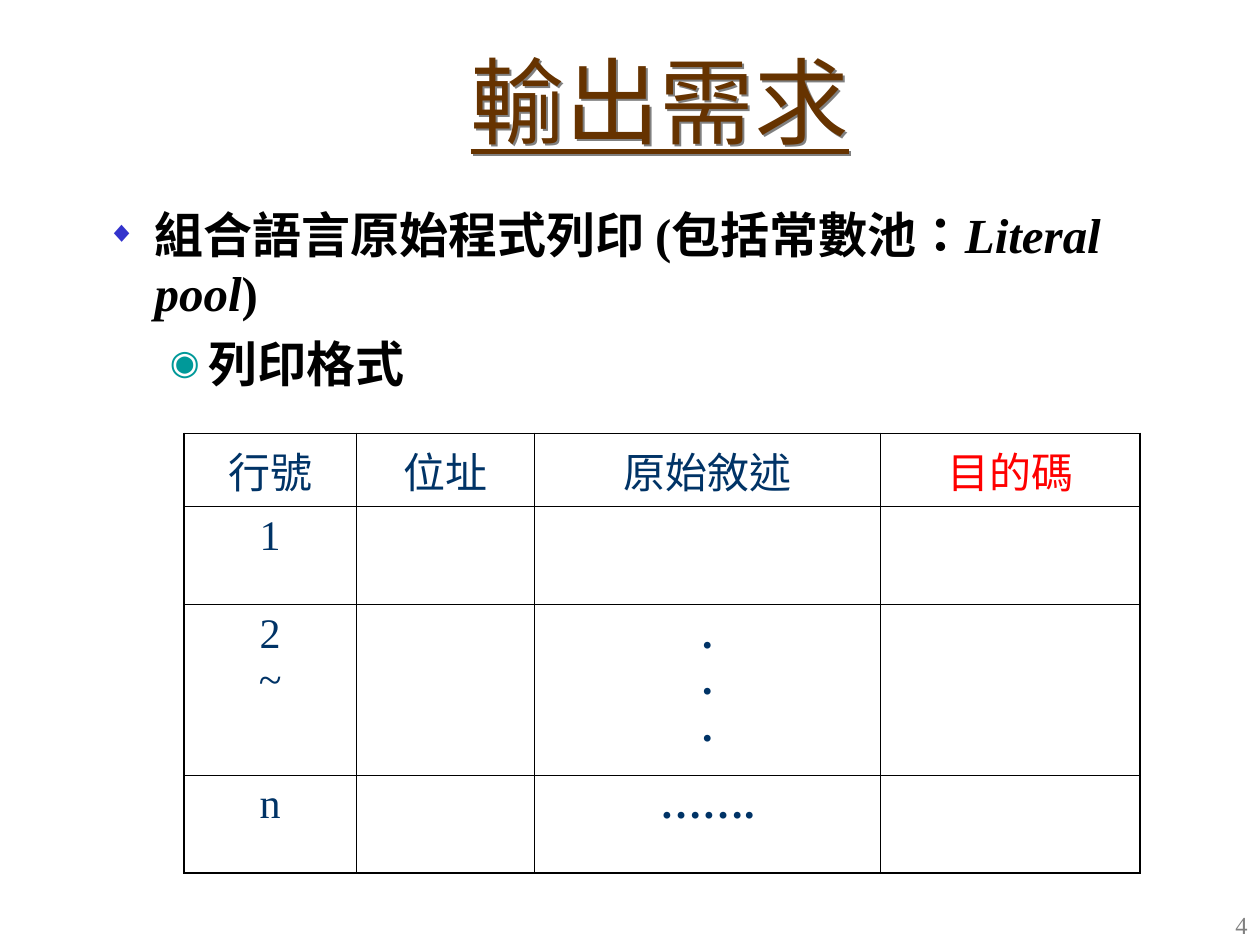
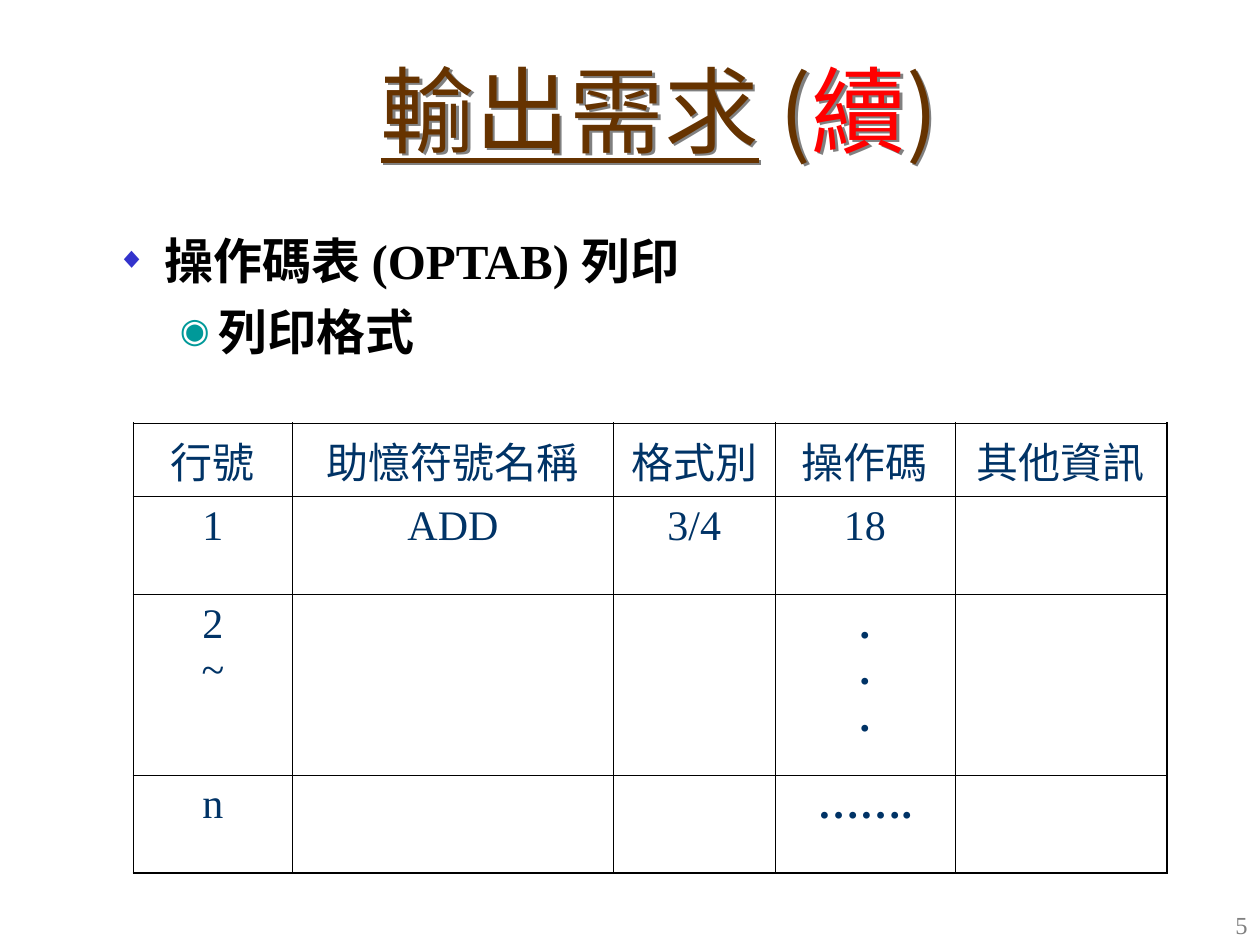
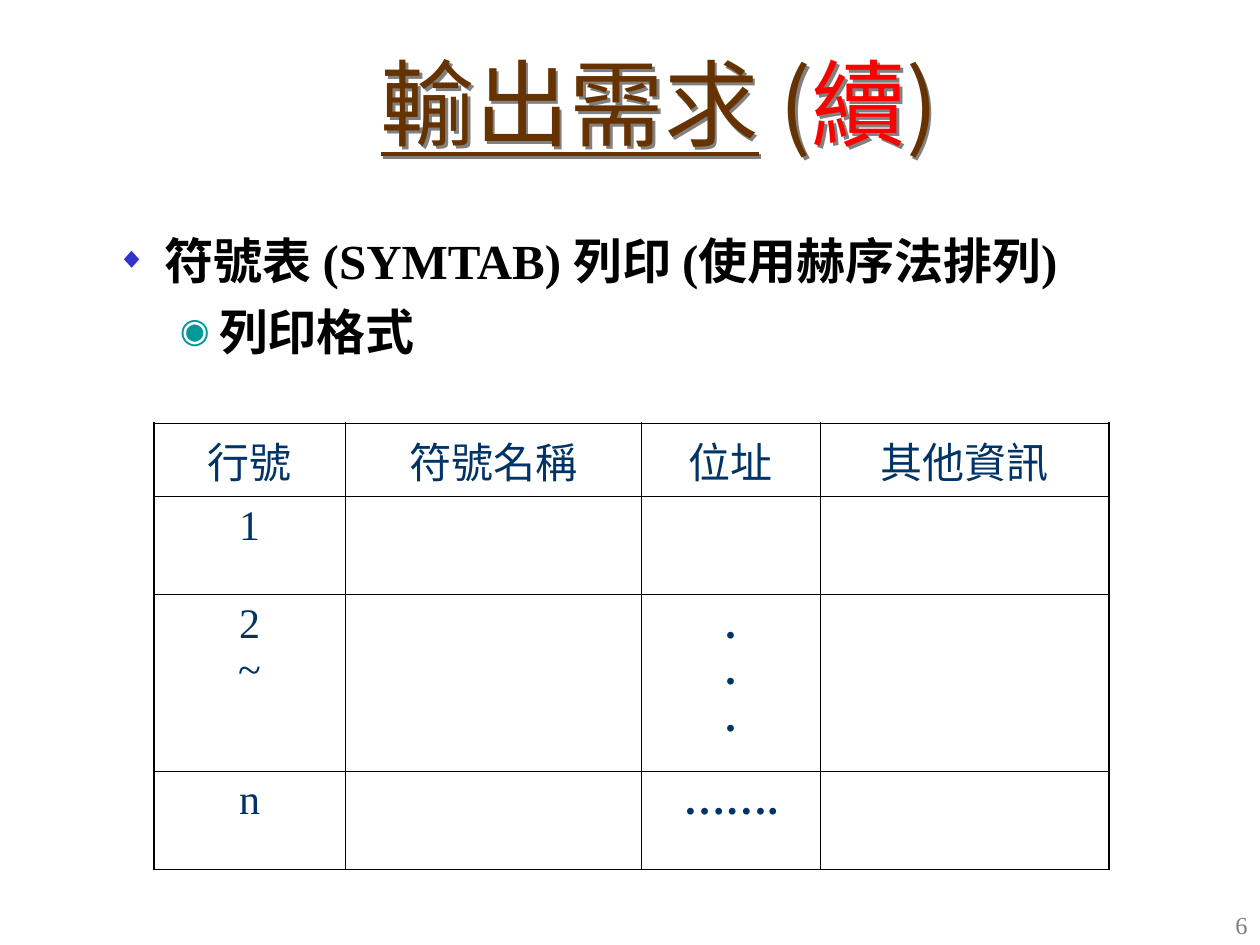
import pptx
import pptx.util
import pptx.dml.color
import pptx.enum.text
import pptx.oxml
import pptx.oxml.ns
from lxml import etree

ALIGN = pptx.enum.text.PP_ALIGN
ANCHOR = pptx.enum.text.MSO_ANCHOR

THEME = {
    "serif": "Times New Roman", "sans": "Noto Sans CJK SC",
    "title": "663300", "alert": "FF0000", "body": "000000",
    "cell": "003366", "page": "808080", "rule": "000000", "shade": "808080",
    "title_pt": 54, "body_pt": 28, "cell_pt": 24, "page_pt": 14,
    "thick": 1.08, "thin": 0.45, "drop": 1.8,
}
# glyph, colour, size in percent, left margin and hanging indent in inches
BULLETS = [("◆", "3333CC", 60, 0.38, 0.38), ("◉", "009999", 70, 0.81, 0.31)]

HEAD = ("輸出需求", {"line": True})
MORE = [HEAD, " (", ("續", {"color": THEME["alert"]}), ")"]
DOTS = (".\n.\n.", {"bold": True})
TAIL = ("…….", {"bold": True})
FORMAT = ["列印格式"]

SLIDES = [
    {
        "page": 4, "title": [HEAD], "title_at": (1.22, 0.21, 8.03, 1.16),
        "points": [["組合語言原始程式列印 (包括常數池：",
                    ("Literal pool", {"italic": True}), ")"], FORMAT],
        "body_at": (0.75, 1.57, 8.66, 5.12),
        "table_at": (1.46, 3.44),
        "cols": (1.37, 1.41, 2.75, 2.06), "rows": (0.58, 0.78, 1.35, 0.78),
        "cells": [["行號", "位址", "原始敘述", ("目的碼", {"color": THEME["alert"]})],
                  ["1", "", "", ""],
                  ["2\n~", "", DOTS, ""],
                  ["n", "", TAIL, ""]],
    },
    {
        "page": 5, "title": MORE, "title_at": (1.22, 0.29, 8.03, 1.14),
        "points": [["操作碼表 (OPTAB) 列印"], FORMAT],
        "body_at": (0.83, 1.78, 8.5, 5.04),
        "table_at": (1.06, 3.36),
        "cols": (1.26, 2.55, 1.28, 1.43, 1.68), "rows": (0.58, 0.78, 1.43, 0.78),
        "cells": [["行號", "助憶符號名稱", "格式別", "操作碼", "其他資訊"],
                  ["1", "ADD", "3/4", "18", ""],
                  ["2\n~", "", "", DOTS, ""],
                  ["n", "", "", TAIL, ""]],
    },
    {
        "page": 6, "title": MORE, "title_at": (1.22, 0.21, 8.03, 1.2),
        "points": [["符號表 (SYMTAB) 列印 (使用赫序法排列)"], FORMAT],
        "body_at": (0.83, 1.78, 8.49, 5.25),
        "table_at": (1.22, 3.36),
        "cols": (1.52, 2.35, 1.42, 2.29), "rows": (0.58, 0.78, 1.4, 0.78),
        "cells": [["行號", "符號名稱", "位址", "其他資訊"],
                  ["1", "", "", ""],
                  ["2\n~", "", DOTS, ""],
                  ["n", "", TAIL, ""]],
    },
]


def inch(*sizes):
    return [pptx.util.Inches(size) for size in sizes]


def rgb(code):
    return pptx.dml.color.RGBColor.from_string(code)


def node(parent, tag, **attrs):
    item = etree.SubElement(parent, pptx.oxml.ns.qn("a:" + tag))
    for key, value in attrs.items():
        item.set(key, str(value))
    return item


def paint(parent, code):
    node(node(parent, "solidFill"), "srgbClr", val=code)


def write(para, text, size=None, color=None, face=THEME["serif"], bold=False,
          italic=False, line=False):
    """Add text in one format; each newline becomes a line break."""
    for count, part in enumerate(text.split("\n")):
        if count:
            para.add_line_break()
        run = para.add_run()
        run.text = part
        font = run.font
        font.size = pptx.util.Pt(size)
        font.bold, font.italic, font.underline = bold, italic, line
        font.color.rgb = rgb(color)
        font.name = face
        props = run._r.get_or_add_rPr()
        props.set("lang", "zh-TW")
        node(props, "ea", typeface=THEME["sans"])


def fill(para, runs, **base):
    """Write runs, each plain text or a pair of text and format changes."""
    for run in runs:
        text, extra = (run, {}) if isinstance(run, str) else run
        write(para, text, **{**base, **extra})


def frame(slide, at, anchor=ANCHOR.TOP, shade=False):
    shape = slide.shapes.add_textbox(*inch(*at))
    if shade:
        cast = node(node(shape._element.spPr, "effectLst"), "outerShdw",
                    dist=pptx.util.Pt(THEME["drop"]), dir=2700000)
        node(cast, "srgbClr", val=THEME["shade"])
    box = shape.text_frame
    box.word_wrap = True
    box.vertical_anchor = anchor
    return box


def bullet(para, glyph, color, share, left, hang):
    props = para._p.get_or_add_pPr()
    props.set("marL", str(pptx.util.Inches(left)))
    props.set("indent", str(-pptx.util.Inches(hang)))
    node(node(props, "buClr"), "srgbClr", val=color)
    node(props, "buSzPct", val=share * 1000)
    node(props, "buFont", typeface=THEME["serif"])
    node(props, "buChar", char=glyph)


def border(cell, outer):
    """Rule all four sides, thick on the sides that lie on the table's edge."""
    props = cell._tc.get_or_add_tcPr()
    for side, edge in zip("LRTB", outer):
        width = pptx.util.Pt(THEME["thick" if edge else "thin"])
        paint(node(props, "ln" + side, w=width), THEME["rule"])


def grid(slide, at, cols, rows, cells):
    size = inch(*at, sum(cols), sum(rows))
    table = slide.shapes.add_table(len(rows), len(cols), *size).table
    table.first_row = table.horz_banding = False
    for col, width in zip(table.columns, inch(*cols)):
        col.width = width
    for row, height in zip(table.rows, inch(*rows)):
        row.height = height
    for r, line in enumerate(cells):
        for c, item in enumerate(line):
            cell = table.cell(r, c)
            border(cell, (c == 0, c == len(cols) - 1, r == 0, r == len(rows) - 1))
            cell.fill.background()
            if item:
                para = cell.text_frame.paragraphs[0]
                para.alignment = ALIGN.CENTER
                fill(para, [item], size=THEME["cell_pt"], color=THEME["cell"])


def build(deck, data):
    slide = deck.slides.add_slide(deck.slide_layouts[6])

    page = frame(slide, (8.5, 7.17, 1.5, 0.25)).paragraphs[0]
    page.alignment = ALIGN.RIGHT
    write(page, str(data["page"]), size=THEME["page_pt"], color=THEME["page"])

    body = frame(slide, data["body_at"])
    for level, runs in enumerate(data["points"]):
        para = body.add_paragraph() if level else body.paragraphs[0]
        para.level = level
        bullet(para, *BULLETS[level])
        if level:
            para.space_before = pptx.util.Pt(7)
        fill(para, runs, size=THEME["body_pt"], color=THEME["body"], bold=True)

    grid(slide, data["table_at"], data["cols"], data["rows"], data["cells"])

    title = frame(slide, data["title_at"], ANCHOR.MIDDLE, shade=True).paragraphs[0]
    title.alignment = ALIGN.CENTER
    fill(title, data["title"], size=THEME["title_pt"], color=THEME["title"],
         face=THEME["sans"])


def main():
    deck = pptx.Presentation()
    deck.slide_width, deck.slide_height = inch(10, 7.5)
    for data in SLIDES:
        build(deck, data)
    deck.save("out.pptx")


if __name__ == "__main__":
    main()
